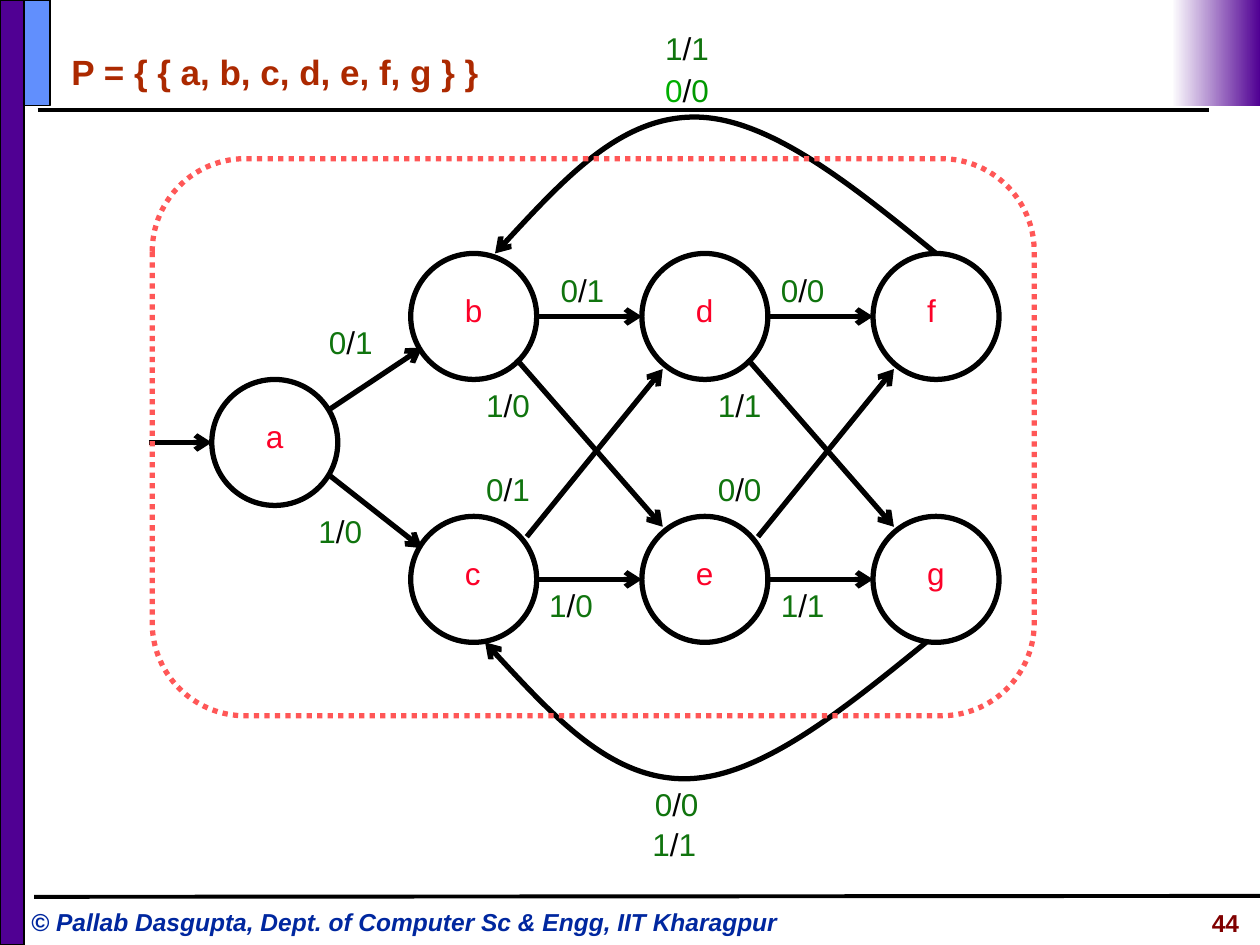
"""Builds the state diagram slide for the partition P."""
from lxml.etree import SubElement
from pptx import Presentation
from pptx.dml.color import RGBColor
from pptx.enum.dml import MSO_LINE
from pptx.enum.shapes import MSO_CONNECTOR, MSO_SHAPE
from pptx.enum.text import PP_ALIGN
from pptx.oxml.ns import qn
from pptx.util import Cm, Pt

COLOURS = {
    "black": "000000", "violet": "500093", "blue": "618FFD", "white": "FFFFFF",
    "footer": "00279F", "number": "800000", "title": "AC2900", "state": "FC0128",
    "green": "10740E", "bright": "00AE00", "leaf": "009900", "block": "FF5757",
}


def colour(name):
    return RGBColor.from_string(COLOURS[name])


def add_text(text, left, top, width, height, size=18, colours=("black",),
             bold=False, italic=False, align=PP_ALIGN.LEFT):
    box = slide.shapes.add_textbox(Cm(left), Cm(top), Cm(width), Cm(height))
    box.text_frame.word_wrap = True
    paragraph = box.text_frame.paragraphs[0]
    paragraph.alignment = align
    pieces = [text] if len(colours) == 1 else text
    for piece, name in zip(pieces, colours):
        run = paragraph.add_run()
        run.text = piece
        run.font.name = "Arial"
        run.font.size = Pt(size)
        run.font.bold = bold
        run.font.italic = italic
        run.font.color.rgb = colour(name)


def outline(shape, width, name="black", arrow=False):
    shape.line.color.rgb = colour(name)
    shape.line.width = Pt(width)
    properties = shape._element.spPr
    if arrow:
        SubElement(properties.find(qn("a:ln")), qn("a:tailEnd"), type="arrow")
    SubElement(properties, qn("a:effectLst"))


presentation = Presentation()
presentation.slide_width = Cm(25.4)
presentation.slide_height = Cm(19.05)
slide = presentation.slides.add_slide(presentation.slide_layouts[6])

lines = [
    (0.76, 2.21, 24.38, 2.21, 2.25, False),
    (0.69, 18.08, 25.4, 18.06, 2.25, False),
    (3, 8.92, 4.27, 8.92, 3, True),
    (6.6, 8.28, 8.51, 7.01, 3, True),
    (6.6, 9.55, 8.51, 11.05, 3, True),
]
column_step = 4.66
for shift in (0, column_step):
    for start_x, start_y, end_x, end_y in [
        (10.82, 6.38, 12.94, 6.38),
        (10.82, 11.68, 12.94, 11.68),
        (10.41, 7.24, 13.36, 10.62),
        (10.62, 10.82, 13.36, 7.44),
    ]:
        lines.append((start_x + shift, start_y, end_x + shift, end_y, 3, True))

for left, top, width, height, fill in [
    (0, 0, 0.48, 19.05, "violet"),
    (0.48, 0, 0.53, 2.13, "blue"),
]:
    bar = slide.shapes.add_shape(
        MSO_SHAPE.RECTANGLE, Cm(left), Cm(top), Cm(width), Cm(height))
    bar.fill.solid()
    bar.fill.fore_color.rgb = colour(fill)
    outline(bar, 1)

corner = slide.shapes.add_shape(
    MSO_SHAPE.RECTANGLE, Cm(23.62), Cm(0), Cm(1.78), Cm(2.13))
corner.shadow.inherit = False
corner.line.fill.background()
corner.fill.gradient()
corner.fill.gradient_angle = 180
for stop, name in zip(corner.fill.gradient_stops, ("violet", "white")):
    stop.color.rgb = colour(name)

for start_x, start_y, end_x, end_y, width, arrow in lines:
    connector = slide.shapes.add_connector(
        MSO_CONNECTOR.STRAIGHT, Cm(start_x), Cm(start_y), Cm(end_x), Cm(end_y))
    outline(connector, width, arrow=arrow)

states = [("a", 4.27, 7.65)]
for column, pair in enumerate(("bc", "de", "fg")):
    for state, top in zip(pair, (5.11, 10.41)):
        states.append((state, 8.28 + column * column_step, top))
for state, left, top in states:
    circle = slide.shapes.add_shape(
        MSO_SHAPE.OVAL, Cm(left), Cm(top), Cm(2.54), Cm(2.54))
    circle.fill.background()
    outline(circle, 3)
    add_text(state, left + 0.84, top + 0.64, 1.07, 1.02, colours=("state",))

curve = [(18.87, 0), (17.17, 1.38), (15.49, 2.75), (14, 2.75),
         (12.52, 2.75), (11.25, 1.38), (9.98, 0)]
for shift, base, direction in [(0, 5.11, -1), (-0.2, 12.95, 1)]:
    points = [(Cm(x + shift), Cm(base + direction * rise)) for x, rise in curve]
    builder = slide.shapes.build_freeform(*points[0])
    builder.add_line_segments(points[1:], close=False)
    arc = builder.convert_to_shape()
    arc.fill.background()
    outline(arc, 3, arrow=True)
    outline_path = arc._element.spPr.find(".//" + qn("a:path"))
    segments = outline_path.findall(qn("a:lnTo"))
    for first in range(0, len(segments), 3):
        bezier = SubElement(outline_path, qn("a:cubicBezTo"))
        for segment in segments[first:first + 3]:
            bezier.append(segment[0])
            outline_path.remove(segment)

for text, left, top in [
    ("1/1", 13.16, 0.46), ("0/0", 12.95, 15.7), ("1/1", 12.9, 16.51),
    ("0/1", 6.38, 6.38), ("1/0", 6.17, 10.19),
    ("0/1", 11.05, 5.33), ("0/0", 15.49, 5.33),
    ("1/0", 9.55, 7.65), ("1/1", 14.22, 7.65),
    ("0/1", 9.55, 9.35), ("0/0", 14.22, 9.35),
    ("1/0", 10.82, 11.68), ("1/1", 15.49, 11.68),
]:
    add_text(text, left, top, 1.7, 1.02, colours=("green", "black", "green"))
add_text("0/0", 13.16, 1.3, 2.11, 1.02, colours=("bright", "black", "leaf"))

block = slide.shapes.add_shape(
    MSO_SHAPE.ROUNDED_RECTANGLE, Cm(3.07), Cm(3.2), Cm(17.78), Cm(11.23))
block.fill.background()
outline(block, 3, "block")
block.line.dash_style = MSO_LINE.ROUND_DOT

add_text("P = { { a, b, c, d, e, f, g } }", 1.19, 0.89, 10.16, 1.12,
         size=20, colours=("title",), bold=True)
add_text("© Pallab Dasgupta, Dept. of Computer Sc & Engg, IIT Kharagpur",
         0.38, 18.16, 16.18, 0.86, size=14, colours=("footer",),
         bold=True, italic=True)
add_text("44", 20.78, 18.19, 4.45, 0.89, size=14, colours=("number",),
         bold=True, align=PP_ALIGN.RIGHT)

presentation.save("out.pptx")
